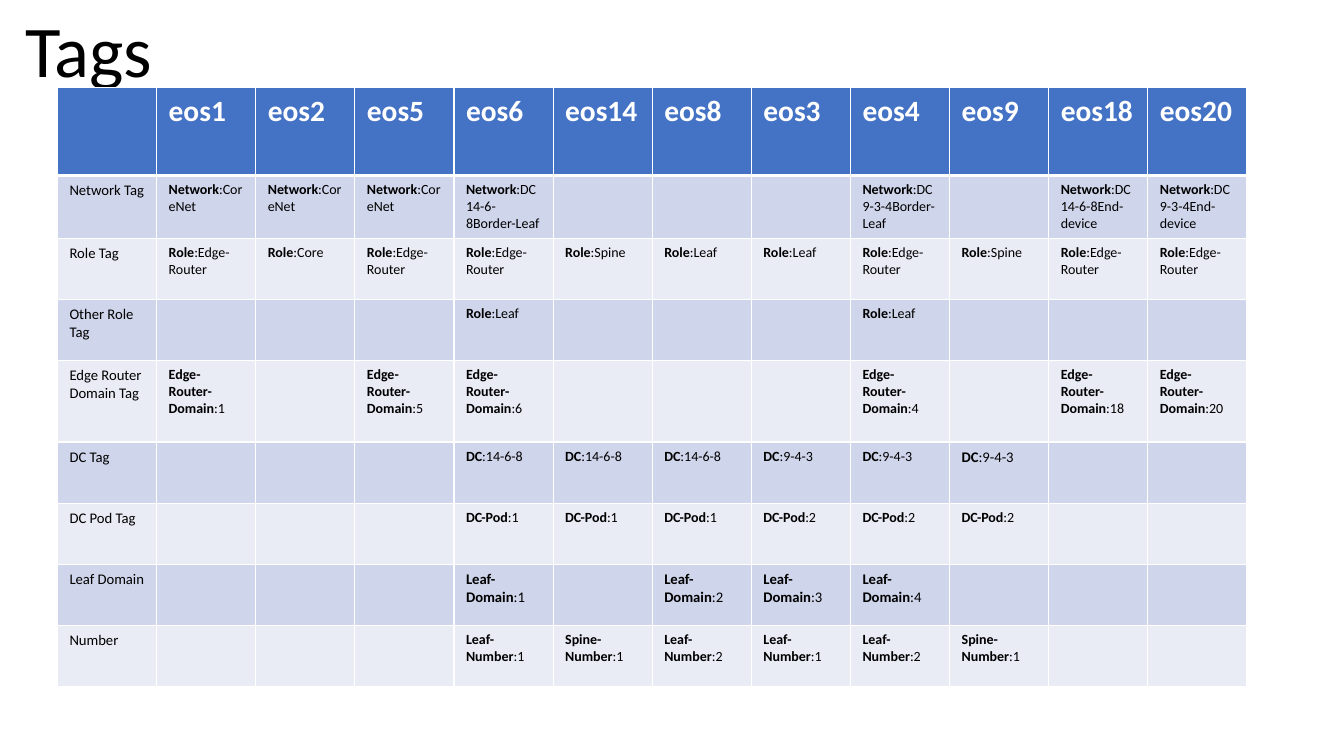
from lxml.etree import SubElement
from pptx import Presentation
from pptx.dml.color import RGBColor as Rgb
from pptx.enum.text import MSO_ANCHOR as Anchor
from pptx.oxml.ns import qn
from pptx.util import Inches, Pt

COLORS = {"text": "000000", "white": "FFFFFF", "header": "4472C4",
          "odd": "CFD5EA", "even": "E9EBF5"}
FONT = "Calibri"

DEVICES = "eos1 eos2 eos5 eos6 eos14 eos8 eos3 eos4 eos9 eos18 eos20".split()

# Label, row height in percent, tag size, devices that carry each tag
TAG_ROWS = [
    ("Network Tag", 8.33, 10, {
        "Network:CoreNet": "eos1 eos2 eos5",
        "Network:DC14-6-8Border-Leaf": "eos6",
        "Network:DC9-3-4Border-Leaf": "eos4",
        "Network:DC14-6-8End-device": "eos18",
        "Network:DC9-3-4End-device": "eos20"}),
    ("Role Tag", 8.08, 10, {
        "Role:Edge-Router": "eos1 eos5 eos6 eos4 eos18 eos20",
        "Role:Core": "eos2",
        "Role:Spine": "eos14 eos9",
        "Role:Leaf": "eos8 eos3"}),
    ("Other Role Tag", 8.08, 10, {"Role:Leaf": "eos6 eos4"}),
    ("Edge Router Domain Tag", 10.8, 10, {
        f"Edge-Router-Domain:{number}": f"eos{number}"
        for number in (1, 5, 6, 4, 18, 20)}),
    ("DC Tag", 8.08, 10, {
        "DC:14-6-8": "eos6 eos14 eos8", "DC:9-4-3": "eos3 eos4 eos9"}),
    ("DC Pod Tag", 8.08, 10, {
        "DC-Pod:1": "eos6 eos14 eos8", "DC-Pod:2": "eos3 eos4 eos9"}),
    ("Leaf Domain", 8.08, 10.5, {
        "Leaf-Domain:1": "eos6", "Leaf-Domain:2": "eos8",
        "Leaf-Domain:3": "eos3", "Leaf-Domain:4": "eos4"}),
    ("Number", 8.08, 10, {
        "Leaf-Number:1": "eos6 eos3", "Leaf-Number:2": "eos8 eos4",
        "Spine-Number:1": "eos14 eos9"}),
]
LARGER_TAG = ("DC Tag", "eos9")


class TagSlide:
    """Places elements by percent of the slide's width and height."""

    def __init__(self, deck):
        self.deck = deck
        self.page = deck.slides.add_slide(deck.slide_layouts[6])

    def across(self, percent):
        return round(self.deck.slide_width * percent / 100)

    def down(self, percent):
        return round(self.deck.slide_height * percent / 100)

    def place(self, left, top, width, height):
        return (self.across(left), self.down(top),
                self.across(width), self.down(height))

    def add_span(self, para, text, size, color="text", bold=False):
        span = para.add_run()
        span.text = text
        style = {"name": FONT, "size": Pt(size), "bold": bold}
        for name, value in style.items():
            setattr(span.font, name, value)
        span.font.color.rgb = Rgb.from_string(COLORS[color])

    def title(self, text, area):
        box = self.page.shapes.add_textbox(*self.place(*area))
        frame = box.text_frame
        frame.word_wrap = True
        frame.vertical_anchor = Anchor.MIDDLE
        para = frame.paragraphs[0]
        para.line_spacing = 0.9
        self.add_span(para, text, 52)

    def table(self, left, top, width, heights, columns):
        area = self.place(left, top, width, sum(heights))
        table = self.page.shapes.add_table(len(heights), columns, *area).table
        for column in table.columns:
            column.width = self.across(width / columns)
        for row, height in zip(table.rows, heights):
            row.height = self.down(height)
        return table

    def cell(self, cell, fill, top_line=1, bottom_line=1):
        margins = {"margin_left": 0.12, "margin_right": 0.12,
                   "margin_top": 0.06, "margin_bottom": 0.06}
        for name, value in margins.items():
            setattr(cell, name, Inches(value))
        props = cell._tc.get_or_add_tcPr()
        lines = {"a:lnL": 1, "a:lnR": 1, "a:lnT": top_line, "a:lnB": bottom_line}
        for side, points in lines.items():
            line = SubElement(props, qn(side), w=str(Pt(points)))
            solid = SubElement(line, qn("a:solidFill"))
            SubElement(solid, qn("a:srgbClr"), val=COLORS["white"])
        cell.fill.solid()
        cell.fill.fore_color.rgb = Rgb.from_string(COLORS[fill])
        return cell.text_frame.paragraphs[0]


def main():
    deck = Presentation()
    deck.slide_width, deck.slide_height = Inches(13.33), Inches(7.5)
    slide = TagSlide(deck)

    # Title
    slide.title("Tags", (1.13, -1.07, 86.27, 16.53))

    # Header row
    heights = [11.6] + [height for _, height, _, _ in TAG_ROWS]
    table = slide.table(4.28, 11.6, 88.52, heights, len(DEVICES) + 1)
    for column, device in enumerate([""] + DEVICES):
        para = slide.cell(table.cell(0, column), "header", bottom_line=3)
        if device:
            slide.add_span(para, device, 21, "white", True)

    # Tag rows
    for row, (label, _, size, tags) in enumerate(TAG_ROWS, 1):
        fill = "odd" if row % 2 else "even"
        top_line = 3 if row == 1 else 1
        para = slide.cell(table.cell(row, 0), fill, top_line)
        slide.add_span(para, label, 10.5)
        tag_of = {device: tag for tag, names in tags.items()
                  for device in names.split()}
        for column, device in enumerate(DEVICES, 1):
            para = slide.cell(table.cell(row, column), fill, top_line)
            if device in tag_of:
                key, colon, value = tag_of[device].partition(":")
                tag_size = 10.5 if (label, device) == LARGER_TAG else size
                slide.add_span(para, key, tag_size, bold=True)
                slide.add_span(para, colon + value, tag_size)

    deck.save("out.pptx")


if __name__ == "__main__":
    main()
